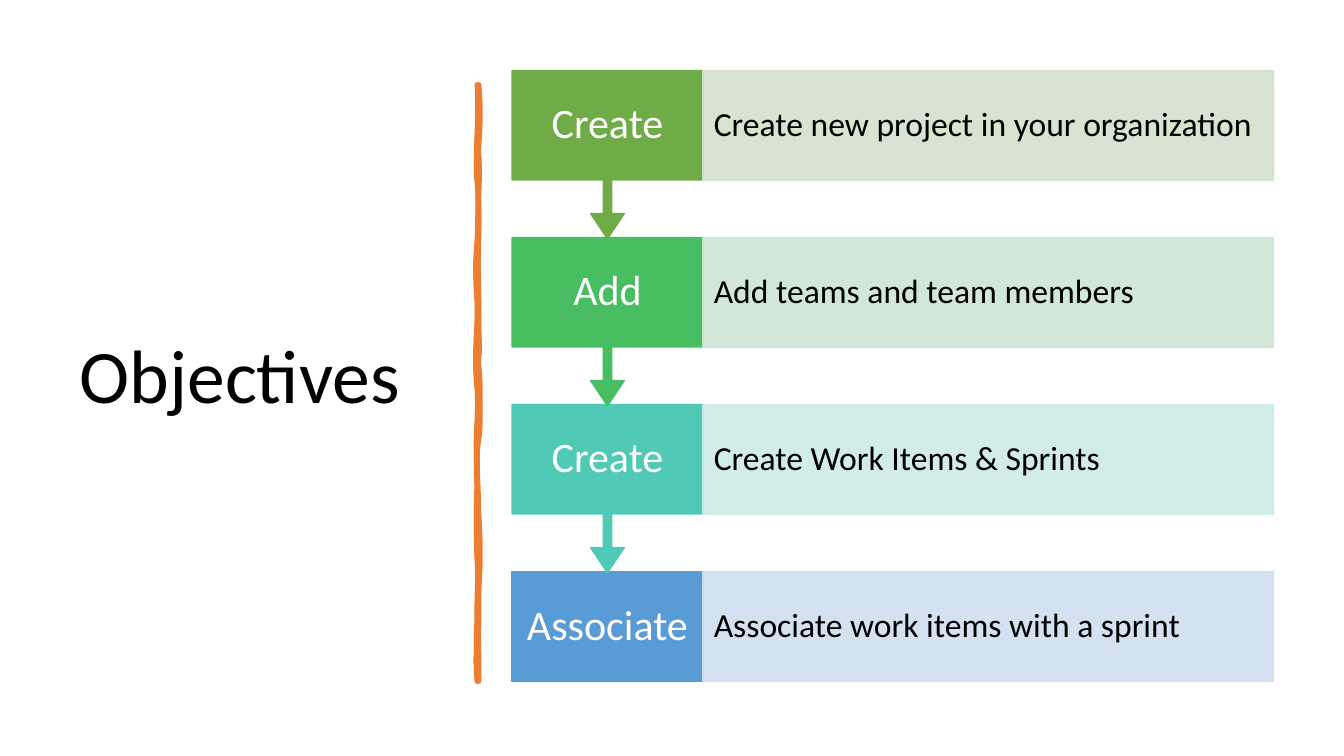
from dataclasses import dataclass

from lxml.etree import SubElement
from pptx import Presentation
from pptx.dml.color import RGBColor
from pptx.enum.shapes import MSO_SHAPE
from pptx.enum.text import MSO_ANCHOR, MSO_AUTO_SIZE, PP_ALIGN
from pptx.oxml.ns import qn
from pptx.util import Inches, Pt


@dataclass(frozen=True)
class Theme:
    font: str = "Calibri"
    black: str = "000000"
    white: str = "FFFFFF"
    divider: str = "ED7D31"
    title_size: int = 54
    action_size: int = 30
    detail_size: int = 24
    line_spacing: float = 0.9
    detail_opacity: int = 89


@dataclass(frozen=True)
class Step:
    action: str
    detail: str
    strong: str
    pale: str


@dataclass(frozen=True)
class TextStyle:
    size: int
    color: str
    align: PP_ALIGN
    side_inset: float
    end_inset: float


THEME = Theme()
TITLE = TextStyle(THEME.title_size, THEME.black, PP_ALIGN.LEFT, 0.1, 0.05)
ACTION = TextStyle(THEME.action_size, THEME.white, PP_ALIGN.CENTER, 0.13, 0.23)
DETAIL = TextStyle(THEME.detail_size, THEME.black, PP_ALIGN.LEFT, 0.11, 0.33)

STEPS = [
    Step("Create", "Create new project in your organization", "6FAB46", "D3E1CC"),
    Step("Add", "Add teams and team members", "48BD62", "CCE6D4"),
    Step("Create", "Create Work Items & Sprints", "50C9B6", "CDEAE8"),
    Step("Associate", "Associate work items with a sprint", "599BD5", "CFDEEF"),
]

# Step grid, in inches
TOP, BOX_HEIGHT, CALLOUT_HEIGHT = 0.7, 1.09, 1.67
PITCH = (5.67 - TOP) / (len(STEPS) - 1)
ACTION_LEFT, ACTION_WIDTH = 5.08, 1.89
DETAIL_LEFT, DETAIL_WIDTH = 6.97, 5.66
CALLOUT_ADJUSTMENTS = (0.05, 0.1, 0.15, 0.65)

# Hand-drawn divider: each outline is a start point and then cubic curves,
# three points to a curve (two handles and the end)
DIVIDER_OUTLINES = [
    [(4.75, 0.84),
     (4.77, 1.02), (4.77, 1.19), (4.75, 1.46), (4.73, 1.73), (4.76, 1.95), (4.75, 2.26),
     (4.74, 2.57), (4.75, 2.62), (4.75, 2.94), (4.74, 3.25), (4.77, 3.42), (4.75, 3.56),
     (4.73, 3.7), (4.79, 4.14), (4.75, 4.36), (4.71, 4.57), (4.72, 4.84), (4.75, 5.1),
     (4.77, 5.36), (4.77, 5.64), (4.75, 5.84), (4.73, 6.03), (4.76, 6.5), (4.75, 6.76),
     (4.74, 6.76), (4.73, 6.76), (4.73, 6.76), (4.74, 6.46), (4.71, 6.44), (4.73, 6.13),
     (4.74, 5.83), (4.74, 5.7), (4.73, 5.57), (4.72, 5.44), (4.72, 4.95), (4.73, 4.77),
     (4.73, 4.59), (4.71, 4.45), (4.73, 4.15), (4.74, 3.86), (4.72, 3.73), (4.73, 3.35),
     (4.74, 2.98), (4.72, 2.81), (4.73, 2.5), (4.74, 2.18), (4.75, 2), (4.73, 1.81),
     (4.7, 1.63), (4.77, 1.04), (4.73, 0.84)],
    [(4.75, 0.84),
     (4.75, 1.15), (4.72, 1.25), (4.75, 1.52), (4.77, 1.79), (4.74, 1.97), (4.75, 2.08),
     (4.76, 2.2), (4.74, 2.55), (4.75, 2.94), (4.76, 3.33), (4.73, 3.43), (4.75, 3.62),
     (4.77, 3.81), (4.77, 3.97), (4.75, 4.3), (4.72, 4.63), (4.75, 4.74), (4.75, 5.16),
     (4.75, 5.57), (4.74, 5.53), (4.75, 5.78), (4.76, 6.03), (4.74, 6.47), (4.75, 6.76),
     (4.74, 6.75), (4.73, 6.75), (4.73, 6.76), (4.7, 6.49), (4.74, 6.32), (4.73, 6.13),
     (4.72, 5.95), (4.75, 5.69), (4.73, 5.39), (4.71, 5.1), (4.76, 5), (4.73, 4.71),
     (4.7, 4.42), (4.77, 4.2), (4.73, 3.86), (4.69, 3.51), (4.74, 3.25), (4.73, 3),
     (4.71, 2.75), (4.71, 2.59), (4.73, 2.38), (4.74, 2.16), (4.74, 1.85), (4.73, 1.64),
     (4.71, 1.43), (4.75, 1.21), (4.73, 0.84)],
]


def set_all(target, values: dict) -> None:
    for name, value in values.items():
        setattr(target, name, value)


def write(shape, text: str, style: TextStyle) -> None:
    frame = shape.text_frame
    set_all(frame, {
        "word_wrap": True,
        "auto_size": MSO_AUTO_SIZE.NONE,
        "vertical_anchor": MSO_ANCHOR.MIDDLE,
        "margin_left": Inches(style.side_inset),
        "margin_right": Inches(style.side_inset),
        "margin_top": Inches(style.end_inset),
        "margin_bottom": Inches(style.end_inset),
    })
    para = frame.paragraphs[0]
    set_all(para, {"alignment": style.align, "line_spacing": THEME.line_spacing})
    span = para.add_run()
    span.text = text
    set_all(span.font, {"name": THEME.font, "size": Pt(style.size)})
    span.font.color.rgb = RGBColor.from_string(style.color)


def paint(shape, color: str, line_width: float = 1, opacity: int = 100) -> None:
    shape.shadow.inherit = False
    shape.line.width = Pt(line_width)
    for fill in (shape.fill, shape.line.fill):
        fill.solid()
        fill.fore_color.rgb = RGBColor.from_string(color)
    if opacity < 100:
        for tint in shape._element.spPr.iter(qn("a:srgbClr")):
            SubElement(tint, qn("a:alpha"), val=str(opacity * 1000))


def add_box(page, kind: MSO_SHAPE, left: float, top: float, width: float, height: float):
    return page.shapes.add_shape(kind, Inches(left), Inches(top), Inches(width), Inches(height))


def to_emu(point: tuple) -> tuple:
    return tuple(Inches(value) for value in point)


def bend(shape, handles: list) -> None:
    """Turn each straight segment into a cubic curve with its two handles."""
    segments = list(shape._element.spPr.iter(qn("a:lnTo")))
    for segment, pair in zip(segments, handles):
        segment.tag = qn("a:cubicBezTo")
        for position, point in enumerate(pair):
            x, y = to_emu(point)
            handle = SubElement(segment, qn("a:pt"), x=str(x - shape.left), y=str(y - shape.top))
            segment.insert(position, handle)


def add_divider(page) -> None:
    builder = page.shapes.build_freeform(*to_emu(DIVIDER_OUTLINES[0][0]))
    handles = []
    for index, outline in enumerate(DIVIDER_OUTLINES):
        if index:
            builder.move_to(*to_emu(outline[0]))
        builder.add_line_segments([to_emu(point) for point in outline[3::3]], close=True)
        handles += zip(outline[1::3], outline[2::3])
    divider = builder.convert_to_shape()
    bend(divider, handles)
    paint(divider, THEME.divider, line_width=3.25)
    SubElement(divider._element.spPr.find(qn("a:ln")), qn("a:round"))


def add_step(page, step: Step, top: float, is_last: bool) -> None:
    if is_last:
        action = add_box(page, MSO_SHAPE.RECTANGLE, ACTION_LEFT, top, ACTION_WIDTH, BOX_HEIGHT)
    else:
        action = add_box(page, MSO_SHAPE.DOWN_ARROW_CALLOUT,
                         ACTION_LEFT, top, ACTION_WIDTH, CALLOUT_HEIGHT)
        for index, value in enumerate(CALLOUT_ADJUSTMENTS):
            action.adjustments[index] = value
    paint(action, step.strong)
    write(action, step.action, ACTION)

    detail = add_box(page, MSO_SHAPE.RECTANGLE, DETAIL_LEFT, top, DETAIL_WIDTH, BOX_HEIGHT)
    paint(detail, step.pale, opacity=THEME.detail_opacity)
    write(detail, step.detail, DETAIL)


def main() -> None:
    deck = Presentation()
    set_all(deck, {"slide_width": Inches(13.33), "slide_height": Inches(7.5)})
    page = deck.slides.add_slide(deck.slide_layouts[5])

    # Title
    title = page.shapes.title
    set_all(title, {"left": Inches(0.69), "top": Inches(0.7),
                    "width": Inches(3.74), "height": Inches(6.11)})
    write(title, "Objectives", TITLE)

    # Divider
    add_divider(page)

    # Steps, last one first so that each arrow tip lies over the next box
    for index, step in reversed(list(enumerate(STEPS))):
        add_step(page, step, TOP + index * PITCH, index == len(STEPS) - 1)

    deck.save("out.pptx")


if __name__ == "__main__":
    main()
